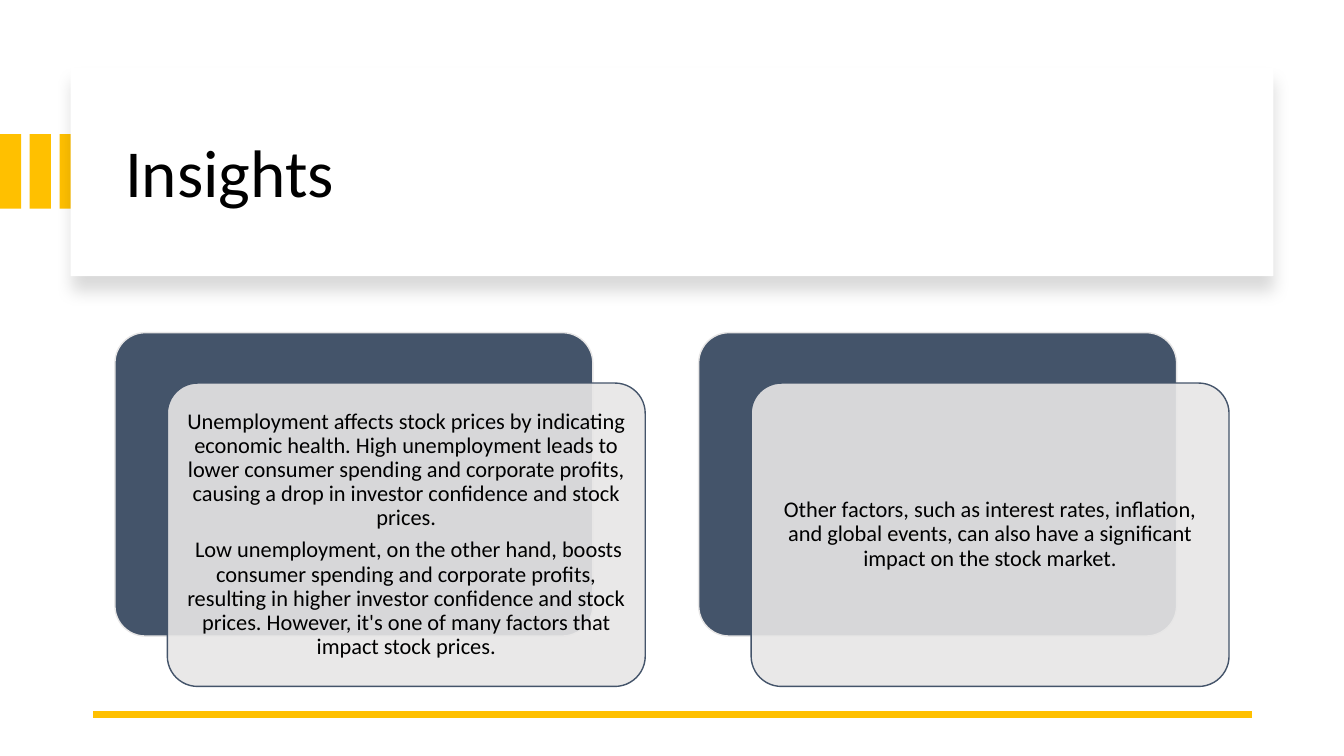
from lxml import etree
from pptx import Presentation
from pptx.dml.color import RGBColor
from pptx.enum.shapes import MSO_CONNECTOR, MSO_SHAPE as SHAPE
from pptx.enum.text import MSO_ANCHOR as ANCHOR, PP_ALIGN as ALIGN
from pptx.oxml import parse_xml
from pptx.oxml.ns import nsdecls, qn
from pptx.util import Pt

PX = 9144  # 100 px to the inch
FONT = "Calibri"
BLACK = RGBColor(0x00, 0x00, 0x00)
WHITE = RGBColor(0xFF, 0xFF, 0xFF)
GOLD = RGBColor(0xFF, 0xC0, 0x00)
SLATE = RGBColor(0x44, 0x54, 0x6A)
SILVER = RGBColor(0xE7, 0xE6, 0xE6)

TITLE = "Insights"
CARDS = [
    [
        "Unemployment affects stock prices by indicating economic health. "
        "High unemployment leads to lower consumer spending and corporate "
        "profits, causing a drop in investor confidence and stock prices.",
        " Low unemployment, on the other hand, boosts consumer spending and "
        "corporate profits, resulting in higher investor confidence and stock "
        "prices. However, it's one of many factors that impact stock prices.",
    ],
    [
        "Other factors, such as interest rates, inflation, and global events, "
        "can also have a significant impact on the stock market.",
    ],
]

STRIPE_COUNT, STRIPE_PITCH = 3, 29.5
STRIPE_TOP, STRIPE_W, STRIPE_H = 133, 21, 74
BANNER_BOX = (70, 67, 1193, 207)
TITLE_BOX = (114, 89, 1113, 170)
RULE_LEFT, RULE_RIGHT, RULE_Y = 92, 1242, 709
CARD_LEFT, CARD_TOP, CARD_W, CARD_H = 114, 330, 474, 301
CARD_PITCH, FRONT_DX, FRONT_DY = 579, 52, 50
CARD_INSET = 7


def px(*lengths):
    return [round(length * PX) for length in lengths]


def add_box(slide, kind, box, fill, line=None):
    sp = slide.shapes.add_shape(kind, *px(*box))
    sp.shadow.inherit = False
    sp.fill.solid()
    sp.fill.fore_color.rgb = fill
    if line is None:
        sp.line.fill.background()
    else:
        sp.line.color.rgb = line
        sp.line.width = Pt(1)
    if kind == SHAPE.ROUNDED_RECTANGLE:
        sp.adjustments[0] = 0.1
    return sp


def add_drop_shadow(sp):
    effects = sp.element.spPr.find(qn("a:effectLst"))
    effects.append(parse_xml(
        f'<a:outerShdw {nsdecls("a")} blurRad="{Pt(11)}" dist="{Pt(10)}" '
        'dir="5400000" algn="t" rotWithShape="0"><a:srgbClr val="000000">'
        '<a:alpha val="15000"/></a:srgbClr></a:outerShdw>'))


def set_opacity(sp, percent):
    color = sp.element.spPr.find(qn("a:solidFill")).find(qn("a:srgbClr"))
    etree.SubElement(color, qn("a:alpha")).set("val", str(percent * 1000))


def write(tf, paragraphs, size, align, space_after=0):
    tf.word_wrap = True
    tf.vertical_anchor = ANCHOR.MIDDLE
    for i, text in enumerate(paragraphs):
        p = tf.add_paragraph() if i else tf.paragraphs[0]
        p.text = text
        p.alignment = align
        p.line_spacing = 0.9
        p.space_after = Pt(space_after)
        p.font.size = Pt(size)
        p.font.name = FONT
        p.font.color.rgb = BLACK


def add_title(slide):
    title = slide.shapes.title
    title.left, title.top, title.width, title.height = px(*TITLE_BOX)
    write(title.text_frame, [TITLE], 48, ALIGN.LEFT)
    title.element.getparent().append(title.element)  # in front of the banner


def add_rule(slide):
    rule = slide.shapes.add_connector(
        MSO_CONNECTOR.STRAIGHT, *px(RULE_RIGHT, RULE_Y, RULE_LEFT, RULE_Y))
    rule.line.color.rgb = GOLD
    rule.line.width = Pt(4.5)
    etree.SubElement(rule.element.spPr, qn("a:effectLst"))


def add_card(slide, left, paragraphs):
    add_box(slide, SHAPE.ROUNDED_RECTANGLE,
            (left, CARD_TOP, CARD_W, CARD_H), SLATE, SILVER)
    front = add_box(slide, SHAPE.ROUNDED_RECTANGLE,
                    (left + FRONT_DX, CARD_TOP + FRONT_DY, CARD_W, CARD_H),
                    SILVER, SLATE)
    set_opacity(front, 90)
    tf = front.text_frame
    tf.margin_left = tf.margin_right = CARD_INSET * PX
    tf.margin_top = tf.margin_bottom = CARD_INSET * PX
    write(tf, paragraphs, 16, ALIGN.CENTER, space_after=5.6)


def main():
    prs = Presentation()
    prs.slide_width, prs.slide_height = px(1333, 750)
    slide = prs.slides.add_slide(prs.slide_layouts[5])
    for i in range(STRIPE_COUNT):
        add_box(slide, SHAPE.RECTANGLE,
                (i * STRIPE_PITCH, STRIPE_TOP, STRIPE_W, STRIPE_H), GOLD)
    add_drop_shadow(add_box(slide, SHAPE.RECTANGLE, BANNER_BOX, WHITE))
    add_title(slide)
    add_rule(slide)
    for i, paragraphs in enumerate(CARDS):
        add_card(slide, CARD_LEFT + i * CARD_PITCH, paragraphs)
    prs.save("out.pptx")


if __name__ == "__main__":
    main()
